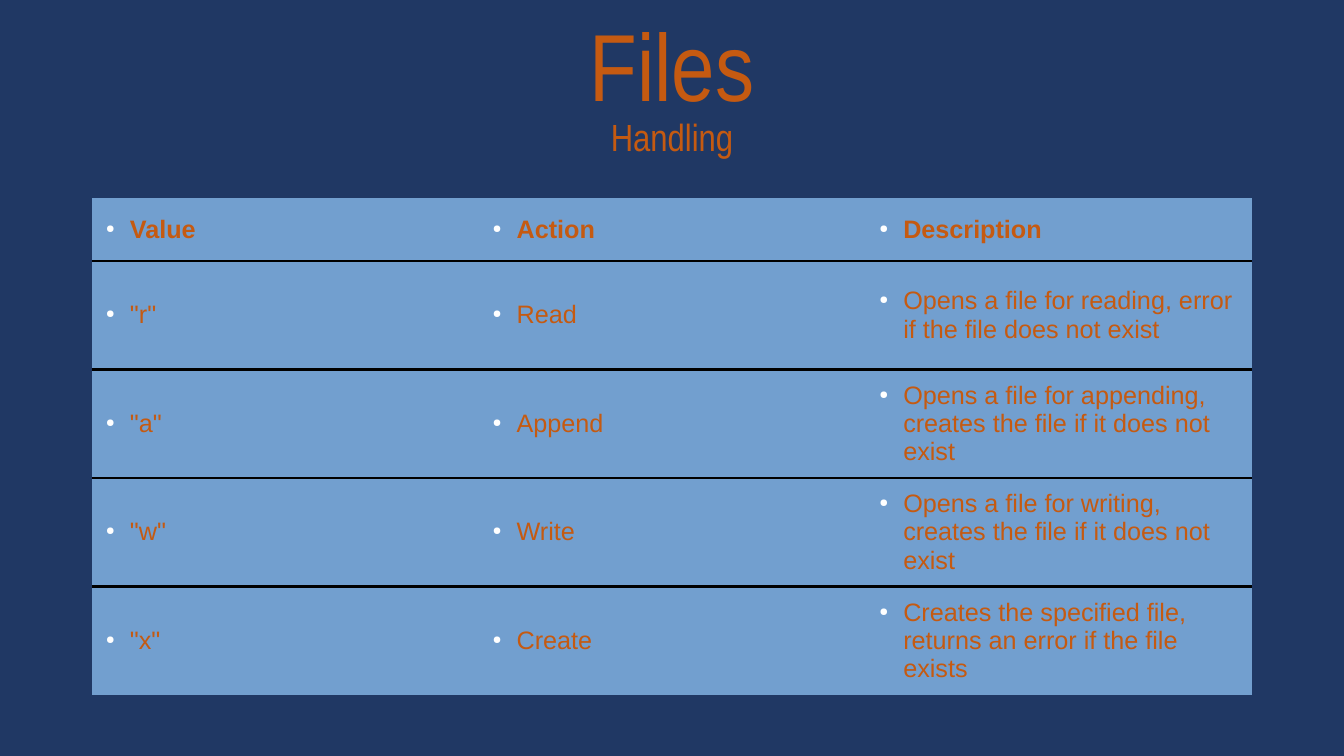
from lxml.etree import SubElement
from pptx import Presentation
from pptx.dml.color import RGBColor
from pptx.enum.text import MSO_ANCHOR as Anchor, PP_ALIGN as Align
from pptx.oxml import parse_xml
from pptx.oxml.ns import nsdecls, qn
from pptx.util import Pt

EMU_PER_PX = 914400 / 100.8
COLORS = {"navy": "203864", "orange": "C55A11", "blue": "729FCF",
          "black": "000000", "white": "FFFFFF"}
NO_STYLE = "{2D5ABB26-0587-4C30-8999-92F81FD0307C}"
ROWS = [
    ("Value", "Action", "Description"),
    ('"r"', "Read", "Opens a file for reading, error if the file does not exist"),
    ('"a"', "Append", "Opens a file for appending, creates the file if it does not exist"),
    ('"w"', "Write", "Opens a file for writing, creates the file if it does not exist"),
    ('"x"', "Create", "Creates the specified file, returns an error if the file exists"),
]


def px(length):
    """Turn pixels into EMU."""
    return round(length * EMU_PER_PX)


def rgb(name):
    """Look up a named colour."""
    return RGBColor.from_string(COLORS[name])


def style_font(paragraph, name, size, bold=False):
    """Set the orange font of a paragraph."""
    font = paragraph.font
    font.name, font.size, font.bold = name, Pt(size), bold
    font.color.rgb = rgb("orange")


def add_heading(slide, lines):
    """Add the centred heading from (text, size) pairs."""
    box = slide.shapes.add_textbox(px(92), px(42), px(1160), px(688))
    frame = box.text_frame
    frame.word_wrap = True
    for index, (text, size) in enumerate(lines):
        paragraph = frame.add_paragraph() if index else frame.paragraphs[0]
        paragraph.text = text
        paragraph.alignment = Align.CENTER
        paragraph.line_spacing = 0.6
        paragraph.space_before = Pt(10)
        style_font(paragraph, "Arial Narrow", size)


def add_bullet(paragraph):
    """Give a paragraph a small white bullet and a hanging indent."""
    properties = paragraph._p.get_or_add_pPr()
    properties.set("marL", str(px(24)))
    properties.set("indent", str(px(-24)))
    color = SubElement(properties, qn("a:buClr"))
    SubElement(color, qn("a:srgbClr"), val=COLORS["white"])
    SubElement(properties, qn("a:buSzPct"), val="45000")
    SubElement(properties, qn("a:buChar"), char="●")


def add_borders(cell, sides):
    """Draw black lines on the given sides of a cell, top before bottom."""
    properties = cell._tc.get_or_add_tcPr()
    for position, side in enumerate(sides):
        properties.insert(position, parse_xml(
            f'<a:{side} {nsdecls("a")} w="{Pt(1.98)}"><a:solidFill>'
            f'<a:srgbClr val="{COLORS["black"]}"/></a:solidFill></a:{side}>'))


def fill_cell(cell, text, bold):
    """Write and style one bulleted table cell."""
    cell.fill.solid()
    cell.fill.fore_color.rgb = rgb("blue")
    cell.vertical_anchor = Anchor.MIDDLE
    cell.margin_left = cell.margin_right = px(14)
    cell.margin_top = cell.margin_bottom = px(5)
    cell.text = text
    paragraph = cell.text_frame.paragraphs[0]
    add_bullet(paragraph)
    style_font(paragraph, "Arial", 18, bold)


def add_mode_table(slide, rows, height=497, header_height=63):
    """Add the file mode table with lines between its rows."""
    last = len(rows) - 1
    frame = slide.shapes.add_table(len(rows), len(rows[0]), px(92), px(198),
                                   px(1160), px(height))
    table = frame.table
    table.horz_banding = False
    table._tbl.tblPr.find(qn("a:tableStyleId")).text = NO_STYLE
    for index, values in enumerate(rows):
        row_height = (height - header_height) / last if index else header_height
        table.rows[index].height = px(row_height)
        sides = ["lnT"] * (index > 0) + ["lnB"] * (index < last)
        for column, text in enumerate(values):
            cell = table.cell(index, column)
            fill_cell(cell, text, bold=index == 0)
            add_borders(cell, sides)


def main():
    """Build and save the slide."""
    presentation = Presentation()
    presentation.slide_width, presentation.slide_height = px(1344), px(756)
    slide = presentation.slides.add_slide(presentation.slide_layouts[6])
    slide.background.fill.solid()
    slide.background.fill.fore_color.rgb = rgb("navy")
    add_heading(slide, [("Files", 68), ("Handling", 27)])
    add_mode_table(slide, ROWS)
    presentation.save("out.pptx")


if __name__ == "__main__":
    main()
